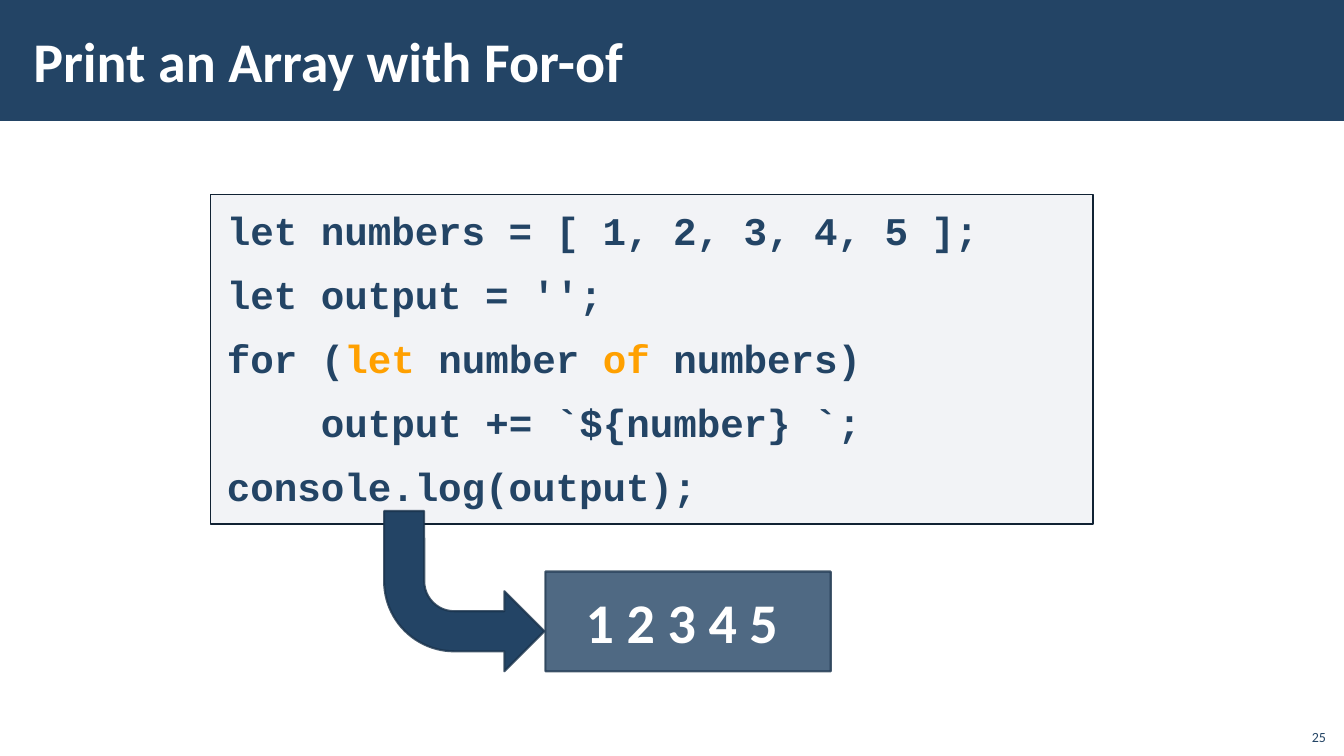
import pptx
import pptx.util
import pptx.dml.color
import pptx.enum.shapes
import pptx.enum.text
import pptx.oxml
import pptx.oxml.ns
from dataclasses import dataclass

Inches = pptx.util.Inches
Pt = pptx.util.Pt
Shapes = pptx.enum.shapes.MSO_SHAPE
Align = pptx.enum.text.PP_ALIGN
Anchor = pptx.enum.text.MSO_ANCHOR

TITLE = "Print an Array with For-of"
CODE = [
    (0, [("let numbers = [ 1, 2, 3, 4, 5 ];", "navy")]),
    (0, [("let output = '';", "navy")]),
    (0, [("for (", "navy"), ("let ", "accent"), ("number ", "navy"),
         ("of ", "accent"), ("numbers)", "navy")]),
    (4, [("output += `${number} `;", "navy")]),
    (0, [("console.log(output);", "navy")]),
]
OUTPUT = "1 2 3 4 5 "
PAGE_NUMBER = "25"


@dataclass(frozen=True)
class Theme:
    navy: str = "234465"
    accent: str = "FFA000"
    white: str = "FFFFFF"
    code_fill: str = "ADB4C3"
    code_line: str = "112233"
    edge: str = "1A334C"
    sans: str = "Calibri"
    mono: str = "Courier New"
    title_size: int = 40
    code_size: int = 28
    number_size: int = 10


THEME = Theme()
MONO_ADVANCE = 0.6


def paint(fill, color, opacity=100):
    fill.solid()
    fill.fore_color.rgb = pptx.dml.color.RGBColor.from_string(color)
    if opacity < 100:
        color_node = fill._xPr.find(".//" + pptx.oxml.ns.qn("a:srgbClr"))
        alpha = pptx.oxml.parse_xml(
            f'<a:alpha {pptx.oxml.ns.nsdecls("a")} val="{opacity * 1000}"/>')
        color_node.append(alpha)


def place(shape, left, top, width, height):
    shape.left, shape.top = Inches(left), Inches(top)
    shape.width, shape.height = Inches(width), Inches(height)


def outline(shape, color, width, opacity=100):
    shape.line.width = Pt(width)
    paint(shape.line.fill, color, opacity)


def add_block(page, kind, left, top, width, height, opacity=100):
    shape = page.shapes.add_shape(
        kind, Inches(left), Inches(top), Inches(width), Inches(height))
    shape.shadow.inherit = False
    paint(shape.fill, THEME.navy, opacity)
    return shape


def set_frame(shape, anchor, side=0.1, edge=0.05):
    frame = shape.text_frame
    frame.word_wrap = True
    frame.auto_size = pptx.enum.text.MSO_AUTO_SIZE.NONE
    frame.vertical_anchor = anchor
    frame.margin_left = frame.margin_right = Inches(side)
    frame.margin_top = frame.margin_bottom = Inches(edge)
    return frame


def add_span(para, text, font, size, color, bold=True):
    span = para.add_run()
    span.text = text
    span.font.name = font
    span.font.size = Pt(size)
    span.font.bold = bold
    span.font.color.rgb = pptx.dml.color.RGBColor.from_string(color)


def add_line(frame, text, align, size, color, bold=True):
    para = frame.paragraphs[0]
    para.alignment = align
    add_span(para, text, THEME.sans, size, color, bold)


def add_header(page):
    band = add_block(page, Shapes.RECTANGLE, 0, 0, 13.33, 1.2)
    band.line.fill.background()
    page.shapes._spTree.insert(2, band._element)
    title = page.shapes.title
    place(title, 0.21, 0.11, 10.63, 0.97)
    frame = set_frame(title, Anchor.MIDDLE, 0.12, 0.04)
    add_line(frame, TITLE, Align.LEFT, THEME.title_size, THEME.white)


def add_code(page):
    box = page.placeholders[1]
    place(box, 2.09, 1.93, 8.75, 3.27)
    paint(box.fill, THEME.code_fill, 15)
    outline(box, THEME.code_line, 1)
    frame = set_frame(box, Anchor.TOP, 0.16, 0.12)
    for index, (indent, spans) in enumerate(CODE):
        para = frame.add_paragraph() if index else frame.paragraphs[0]
        para.alignment = Align.LEFT
        para.space_before = para.space_after = Pt(6)
        para.line_spacing = 1.0
        properties = para._p.get_or_add_pPr()
        margin = Pt(indent * MONO_ADVANCE * THEME.code_size)
        properties.set("marL", str(int(margin)))
        properties.set("indent", "0")
        properties.append(pptx.oxml.parse_xml(
            f'<a:buNone {pptx.oxml.ns.nsdecls("a")}/>'))
        for text, role in spans:
            add_span(para, text, THEME.mono, THEME.code_size, getattr(THEME, role))


def add_output(page):
    arrow = add_block(page, Shapes.BENT_ARROW, 3.81, 5.07, 1.59, 1.59)
    arrow._element.spPr.xfrm.set("flipV", "1")
    result = add_block(page, Shapes.RECTANGLE, 5.41, 5.67, 2.83, 0.99, 80)
    for shape in (arrow, result):
        outline(shape, THEME.edge, 1.5, 80)
    frame = set_frame(result, Anchor.MIDDLE)
    add_line(frame, OUTPUT, Align.CENTER, THEME.title_size, THEME.white)


def add_page_number(page):
    box = page.shapes.add_textbox(
        Inches(12.85), Inches(7.12), Inches(0.4), Inches(0.32))
    frame = set_frame(box, Anchor.BOTTOM)
    add_line(frame, PAGE_NUMBER, Align.RIGHT, THEME.number_size, THEME.navy, False)


def main():
    deck = pptx.Presentation()
    deck.slide_width, deck.slide_height = Inches(13.33), Inches(7.5)
    page = deck.slides.add_slide(deck.slide_layouts[1])
    paint(page.background.fill, THEME.white)
    add_header(page)
    add_code(page)
    add_output(page)
    add_page_number(page)
    deck.save("out.pptx")


if __name__ == "__main__":
    main()
